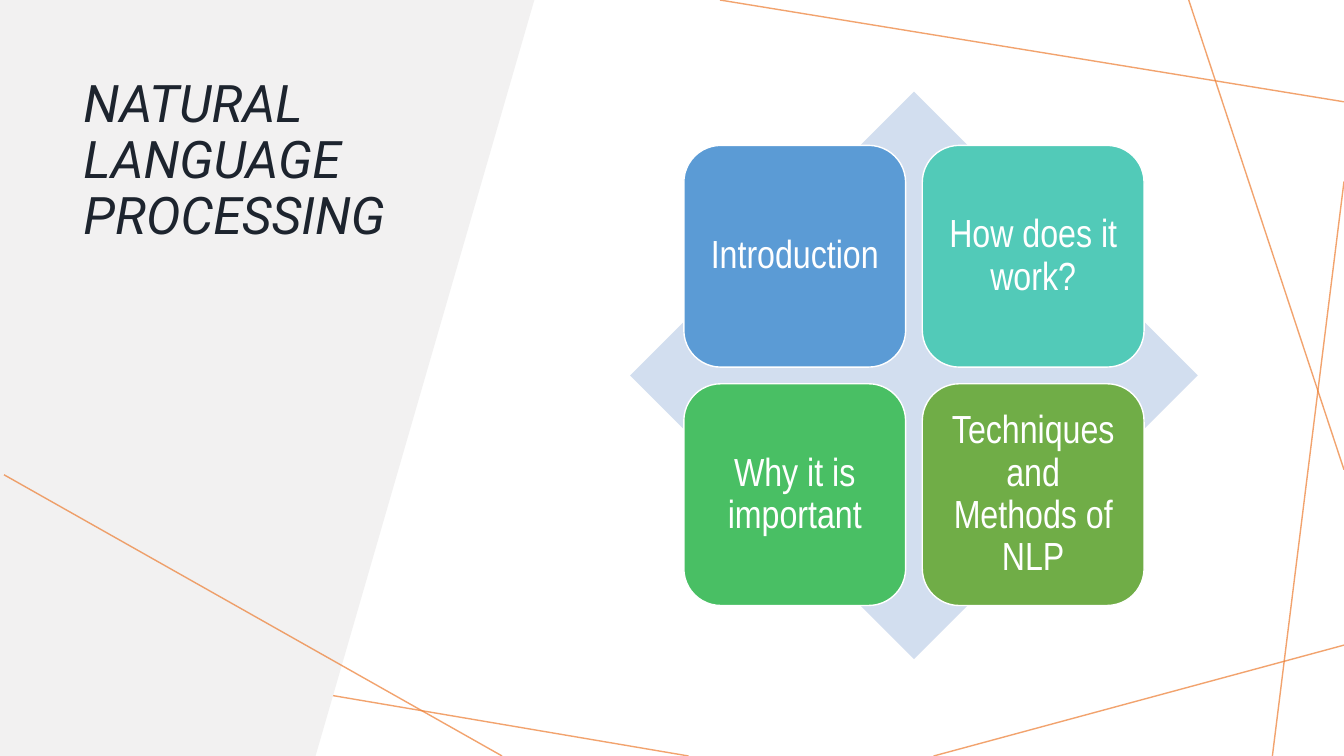
from lxml.etree import SubElement
from pptx import Presentation
from pptx.dml.color import RGBColor
from pptx.enum.shapes import MSO_CONNECTOR, MSO_SHAPE
from pptx.enum.text import MSO_ANCHOR, PP_ALIGN
from pptx.oxml.ns import qn
from pptx.util import Inches, Pt

COLORS = {
    "panel": "F2F1F1", "title": "1D242E", "line": "ED7D31", "diamond": "D2DEEF",
    "white": "FFFFFF", "blue": "5B9BD5", "teal": "52CAB8", "green": "49BF64",
    "olive": "70AD47",
}
BACK_LINES = [
    (6.83, 7.5, 0, 6.34),
    (13.33, 6.4, 9.26, 7.5),
    (13.33, 1.8, 12.62, 7.5),
    (13.33, 4.66, 11.79, 0),
    (13.33, 1.01, 7.14, 0),
]
FRONT_LINE = (0.04, 4.71, 4.98, 7.5)
TOPICS = [
    ("Introduction", "blue"),
    ("How does it work?", "teal"),
    ("Why it is important", "green"),
    ("Techniques and Methods of NLP", "olive"),
]


def color(name):
    """Return the named palette colour."""
    return RGBColor.from_string(COLORS[name])


def paint(shape, fill, outline=None):
    """Give a shape a flat fill and an optional thin outline."""
    shape.shadow.inherit = False
    shape.fill.solid()
    shape.fill.fore_color.rgb = color(fill)
    if outline:
        shape.line.color.rgb = color(outline)
        shape.line.width = Pt(1)
    else:
        shape.line.fill.background()


def write(frame, text, font_name, size, ink):
    """Write one wrapped paragraph and return it."""
    frame.word_wrap = True
    para = frame.paragraphs[0]
    para.text = text
    para.line_spacing = 0.9
    para.font.name = font_name
    para.font.size = Pt(size)
    para.font.color.rgb = color(ink)
    return para


def add_accent_line(page, ends):
    """Draw one thin, partly transparent orange line."""
    accent = page.shapes.add_connector(
        MSO_CONNECTOR.STRAIGHT, *(Inches(value) for value in ends))
    accent.line.color.rgb = color("line")
    accent.line.width = Pt(1)
    properties = accent._element.spPr
    tint = next(properties.iter(qn("a:srgbClr")))
    SubElement(tint, qn("a:alpha"), val="70000")
    SubElement(properties, qn("a:effectLst"))


def add_title_panel(page, left, top, width, height):
    """Draw the slanted panel and the title on it."""
    builder = page.shapes.build_freeform(Inches(left), Inches(top))
    builder.add_line_segments([
        (Inches(left + width), Inches(top)),
        (Inches(left + 3.13), Inches(top + height)),
        (Inches(left), Inches(top + height)),
    ], close=True)
    paint(builder.convert_to_shape(), "panel")
    box = page.shapes.add_textbox(
        Inches(left + 0.73), Inches(top + 0.72), Inches(3.53), Inches(3.9))
    para = write(box.text_frame, "NATURAL LANGUAGE PROCESSING", "Roboto", 37, "title")
    para.font.italic = True


def add_topic_matrix(page, left, top, side):
    """Draw a diamond with a centred two by two grid of topic tiles."""
    diamond = page.shapes.add_shape(
        MSO_SHAPE.DIAMOND, Inches(left), Inches(top), Inches(side), Inches(side))
    paint(diamond, "diamond")
    tile_side, pitch = 2.2, 2.365
    margin = (side - pitch - tile_side) / 2
    for index, (topic, fill) in enumerate(TOPICS):
        row, column = divmod(index, 2)
        tile = page.shapes.add_shape(
            MSO_SHAPE.ROUNDED_RECTANGLE,
            Inches(left + margin + column * pitch),
            Inches(top + margin + row * pitch),
            Inches(tile_side), Inches(tile_side))
        paint(tile, fill, "white")
        frame = tile.text_frame
        frame.margin_left = frame.margin_right = Inches(0.12)
        frame.margin_top = frame.margin_bottom = Inches(0.12)
        frame.vertical_anchor = MSO_ANCHOR.MIDDLE
        para = write(frame, topic, "Arial Narrow", 28, "white")
        para.alignment = PP_ALIGN.CENTER


def main():
    """Build and save the slide."""
    deck = Presentation()
    deck.slide_width, deck.slide_height = Inches(13.33), Inches(7.5)
    page = deck.slides.add_slide(deck.slide_layouts[6])
    for ends in BACK_LINES:
        add_accent_line(page, ends)
    add_title_panel(page, 0, 0, 5.3, 7.5)
    add_accent_line(page, FRONT_LINE)
    add_topic_matrix(page, 6.25, 0.91, 5.63)
    deck.save("out.pptx")


if __name__ == "__main__":
    main()
